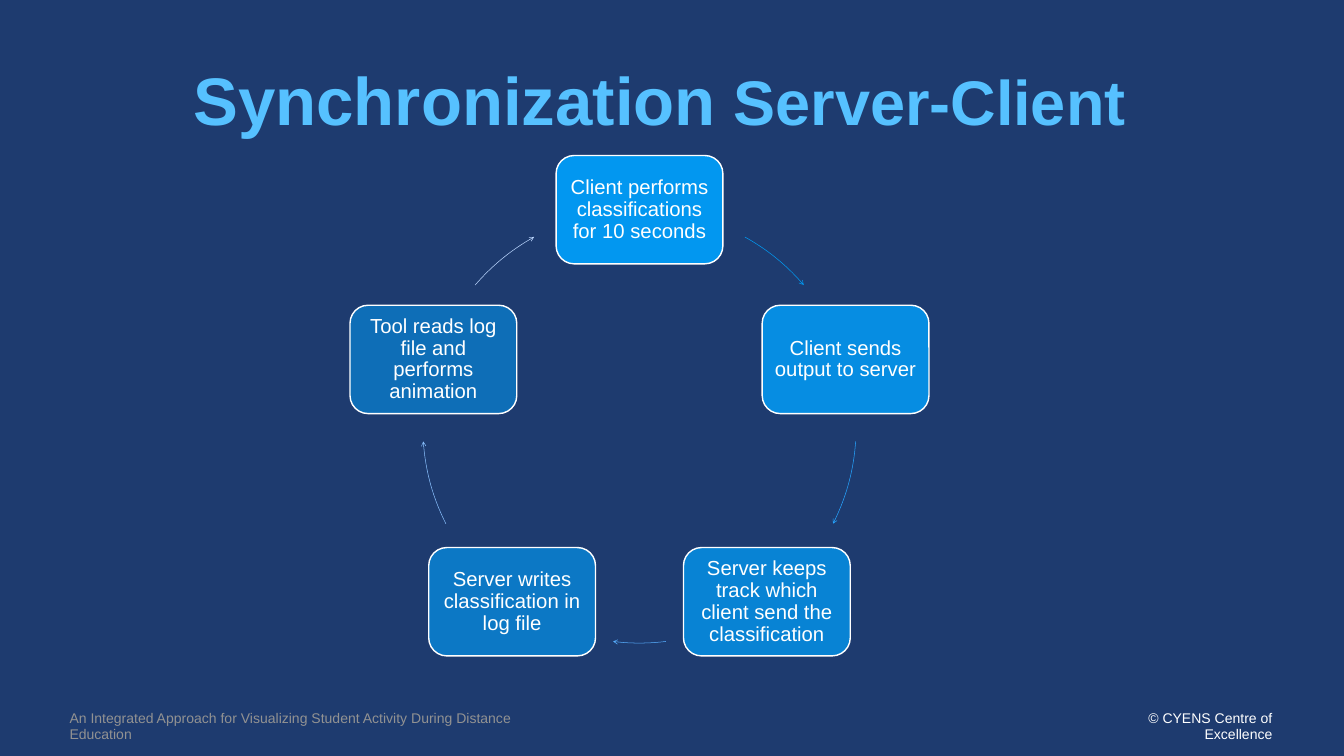
from math import cos, radians, sin

from lxml.etree import SubElement
from pptx import Presentation
from pptx.dml.color import RGBColor
from pptx.enum.shapes import MSO_SHAPE
from pptx.enum.text import MSO_ANCHOR, MSO_AUTO_SIZE, PP_ALIGN
from pptx.oxml.ns import qn
from pptx.util import Inches, Pt

NAVY = RGBColor(0x1E, 0x3B, 0x6F)
SKY = RGBColor(0x56, 0xC1, 0xFF)
AZURE = RGBColor(0x00, 0xA2, 0xFF)
WHITE = RGBColor(0xFF, 0xFF, 0xFF)
GREY = RGBColor(0x92, 0x92, 0x92)
FONT = "Arial"

NODE_WIDTH, NODE_HEIGHT = 3.31, 2.15

# Step text, opacity in percent, colour of the arrow to the next step,
# and the arrow's start and end in degrees clockwise from the top
STEPS = [
    ("Client performs classifications for 10 seconds", 90,
     RGBColor(0x00, 0x9B, 0xF4), 29.1, 49.3),
    ("Client sends output to server", 80,
     RGBColor(0x26, 0xA4, 0xFF), 94, 116.7),
    ("Server keeps track which client send the classification", 70,
     RGBColor(0x58, 0xAF, 0xFF), 173, 187),
    ("Server writes classification in log file", 60,
     RGBColor(0x8A, 0xC1, 0xFF), 243.3, 266),
    ("Tool reads log file and performs animation", 50,
     RGBColor(0xBC, 0xD7, 0xFF), 310.7, 330.9),
]


def set_margins(frame, margin):
    frame.margin_left = frame.margin_right = Inches(margin)
    frame.margin_top = frame.margin_bottom = Inches(margin)


def add_span(para, text, size, color, bold=False):
    span = para.add_run()
    span.text = text
    span.font.name = FONT
    span.font.size = Pt(size)
    span.font.bold = bold
    span.font.color.rgb = color


def add_text(page, left, top, width, height, spans, color, align, bold=False, wrap=False):
    """Place one paragraph made of (text, size) spans."""
    box = page.shapes.add_textbox(Inches(left), Inches(top), Inches(width), Inches(height))
    frame = box.text_frame
    frame.word_wrap = wrap
    frame.auto_size = MSO_AUTO_SIZE.SHAPE_TO_FIT_TEXT
    set_margins(frame, 0.06)
    para = frame.paragraphs[0]
    para.alignment = align
    for text, size in spans:
        add_span(para, text, size, color, bold)


def add_node(group, center_x, center_y, text, opacity):
    node = group.shapes.add_shape(
        MSO_SHAPE.ROUNDED_RECTANGLE,
        Inches(center_x - NODE_WIDTH / 2), Inches(center_y - NODE_HEIGHT / 2),
        Inches(NODE_WIDTH), Inches(NODE_HEIGHT))
    node.shadow.inherit = False
    node.fill.solid()
    node.fill.fore_color.rgb = AZURE
    color = node.fill._xPr.find(qn("a:solidFill"))[0]
    SubElement(color, qn("a:alpha"), val=str(opacity * 1000))
    node.line.color.rgb = WHITE
    node.line.width = Pt(2)
    frame = node.text_frame
    frame.word_wrap = True
    frame.vertical_anchor = MSO_ANCHOR.MIDDLE
    set_margins(frame, 0.12)
    para = frame.paragraphs[0]
    para.alignment = PP_ALIGN.CENTER
    para.line_spacing = 0.9
    add_span(para, text, 29, WHITE)


def add_arc_arrow(group, left, top, size, start, end, color):
    arc = group.shapes.add_shape(
        MSO_SHAPE.ARC, Inches(left), Inches(top), Inches(size), Inches(size))
    arc.shadow.inherit = False
    arc.fill.background()
    # Arc angles count from the right, in units of 100000/60000 degree
    for index, angle in enumerate((start, end)):
        arc.adjustments[index] = (angle - 90) % 360 * 0.6
    arc.line.color.rgb = color
    arc.line.width = Pt(0.75)
    SubElement(arc.line._get_or_add_ln(), qn("a:tailEnd"), type="arrow")


def add_cycle(page, left, top, size):
    """Steps evenly spaced on the circle that fills the given square."""
    group = page.shapes.add_group_shape()
    radius = size / 2
    for index, (text, opacity, color, start, end) in enumerate(STEPS):
        angle = radians(360 / len(STEPS) * index)
        center_x = left + radius + radius * sin(angle)
        center_y = top + radius - radius * cos(angle)
        add_node(group, center_x, center_y, text, opacity)
        add_arc_arrow(group, left, top, size, start, end, color)


def add_footer(page, left, top):
    add_text(page, left, top, 9.46, 0.45,
             [("An Integrated Approach for Visualizing Student Activity "
               "During Distance Education", 20)], GREY, PP_ALIGN.LEFT)
    add_text(page, left + 20, top, 3.99, 0.45,
             [("© CYENS Centre of Excellence", 20)], WHITE, PP_ALIGN.RIGHT)


def main():
    deck = Presentation()
    deck.slide_width, deck.slide_height = Inches(26.67), Inches(15)
    page = deck.slides.add_slide(deck.slide_layouts[6])
    page.background.fill.solid()
    page.background.fill.fore_color.rgb = NAVY

    add_footer(page, 1.32, 14.01)
    # Title
    add_text(page, 0.99, 1.1, 24.2, 1.73,
             [("Synchronization", 96), (" Server-Client", 90)],
             SKY, PP_ALIGN.CENTER, bold=True, wrap=True)
    add_cycle(page, 8.39, 4.16, 8.6)
    deck.save("out.pptx")


if __name__ == "__main__":
    main()
